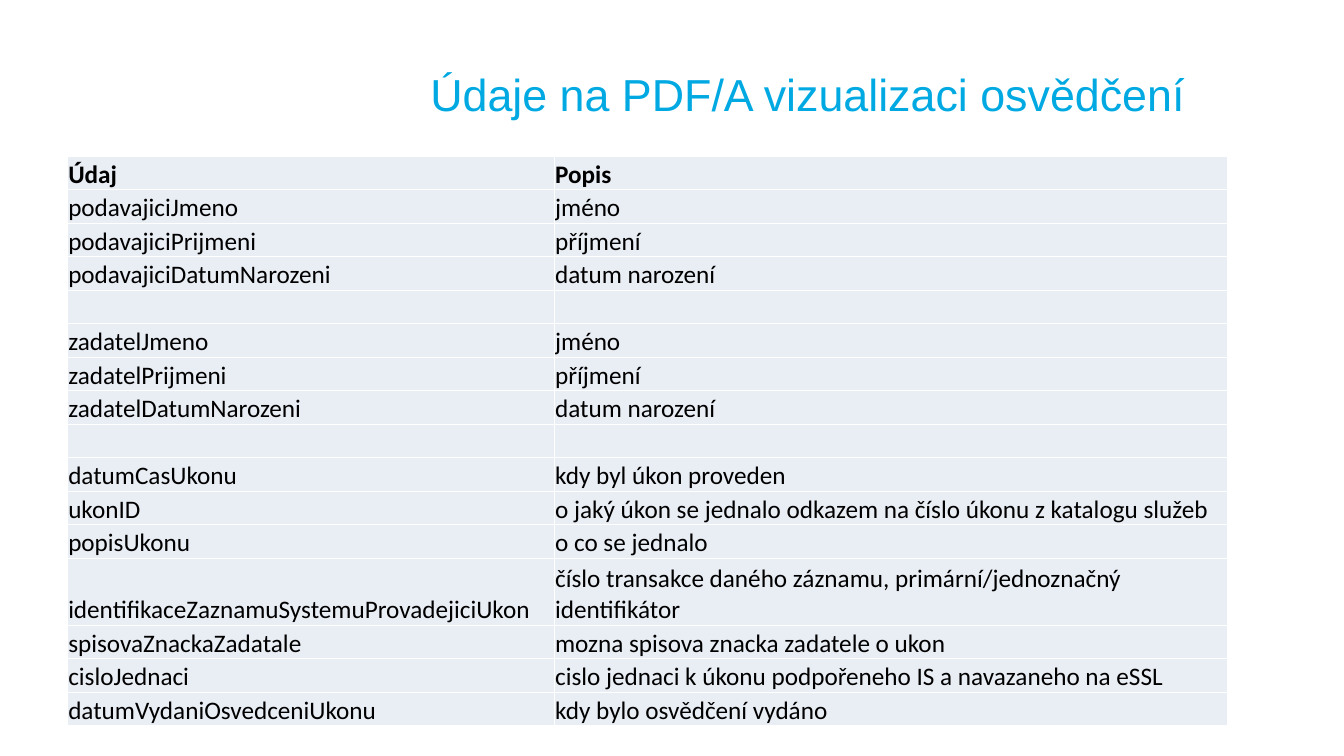
from pptx import Presentation
from pptx.dml.color import RGBColor
from pptx.enum.text import MSO_ANCHOR as Anchor, PP_ALIGN as Align
from pptx.util import Cm, Pt

COLORS = {"title": "00A9E2", "text": "000000", "cell": "E9EDF4"}

FIELDS = [
    ("Údaj", "Popis"),
    ("podavajiciJmeno", "jméno"),
    ("podavajiciPrijmeni", "příjmení"),
    ("podavajiciDatumNarozeni", "datum narození"),
    ("", ""),
    ("zadatelJmeno", "jméno"),
    ("zadatelPrijmeni", "příjmení"),
    ("zadatelDatumNarozeni", "datum narození"),
    ("", ""),
    ("datumCasUkonu", "kdy byl úkon proveden"),
    ("ukonID", "o jaký úkon se jednalo odkazem na číslo úkonu z katalogu služeb"),
    ("popisUkonu", "o co se jednalo"),
    ("identifikaceZaznamuSystemuProvadejiciUkon",
     "číslo transakce daného záznamu, primární/jednoznačný identifikátor"),
    ("spisovaZnackaZadatale", "mozna spisova znacka zadatele o ukon"),
    ("cisloJednaci", "cislo jednaci k úkonu podpořeneho IS a navazaneho na eSSL"),
    ("datumVydaniOsvedceniUkonu", "kdy bylo osvědčení vydáno"),
]
TWO_LINE_ROW = 12


def format_font(font, color, **values):
    for attribute, value in values.items():
        setattr(font, attribute, value)
    font.color.rgb = RGBColor.from_string(COLORS[color])


prs = Presentation()
prs.slide_width, prs.slide_height = Cm(33.87), Cm(19.05)
slide = prs.slides.add_slide(prs.slide_layouts[5])

# Title
title = slide.shapes.title
title.left, title.top, title.width, title.height = Cm(10.59), Cm(0.76), Cm(21.59), Cm(3.18)
title.text_frame.text = "Údaje na PDF/A vizualizaci osvědčení"
title.text_frame.vertical_anchor = Anchor.MIDDLE
heading = title.text_frame.paragraphs[0]
heading.alignment = Align.LEFT
format_font(heading.runs[0].font, "title", name="Arial", size=Pt(32))

# Table of fields: one row takes two lines
table_height = Cm(14.35)
row_height = table_height // (len(FIELDS) + 1)
fields = slide.shapes.add_table(
    len(FIELDS), 2, Cm(1.7), Cm(3.94), Cm(29.24), table_height).table
fields.first_row = fields.horz_banding = False
fields.columns[0].width, fields.columns[1].width = Cm(12.27), Cm(16.97)

cell_format = {
    "margin_left": Cm(0.02), "margin_right": Cm(0.02),
    "margin_top": Cm(0.02), "margin_bottom": 0,
    "vertical_anchor": Anchor.BOTTOM,
}
for row, texts in enumerate(FIELDS):
    fields.rows[row].height = row_height * (2 if row == TWO_LINE_ROW else 1)
    for column, text in enumerate(texts):
        cell = fields.cell(row, column)
        for attribute, value in cell_format.items():
            setattr(cell, attribute, value)
        cell.fill.solid()
        cell.fill.fore_color.rgb = RGBColor.from_string(COLORS["cell"])
        cell.text = text
        format_font(cell.text_frame.paragraphs[0].font, "text",
                    name="Calibri", size=Pt(18), bold=row == 0)

prs.save("out.pptx")
